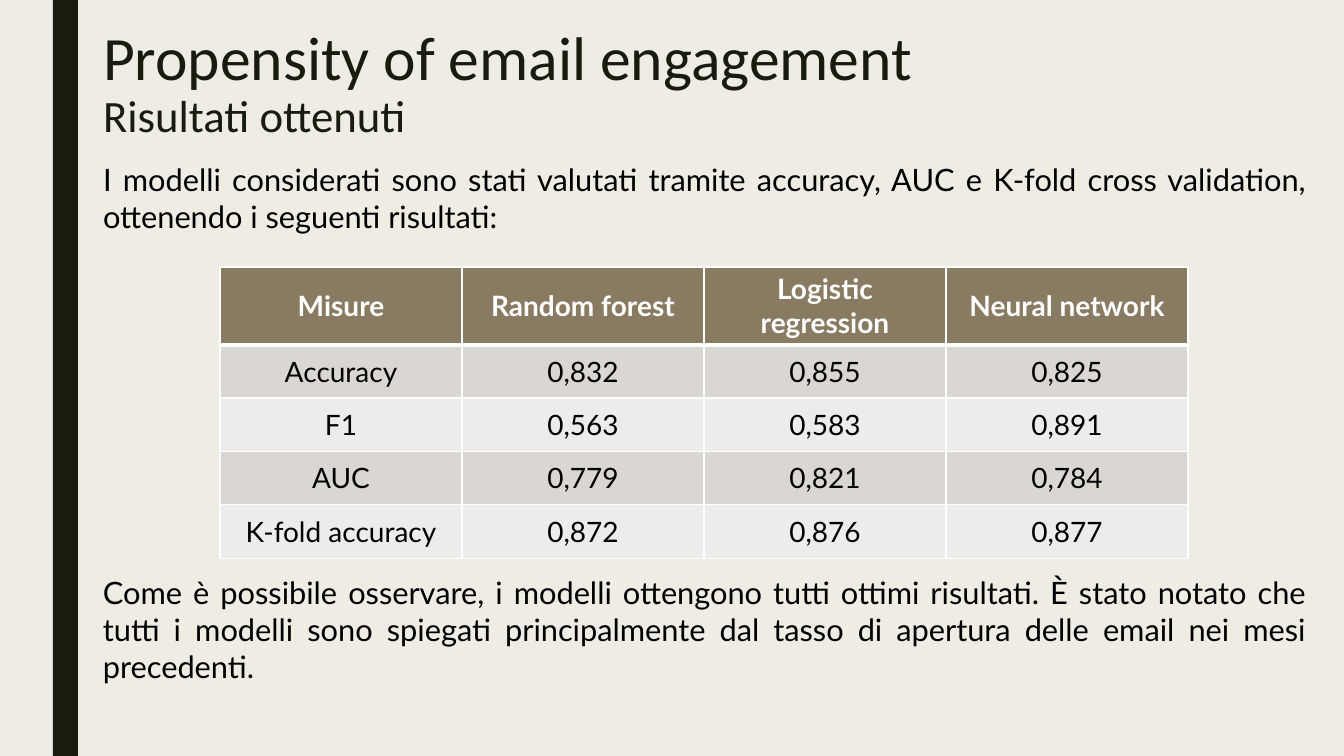
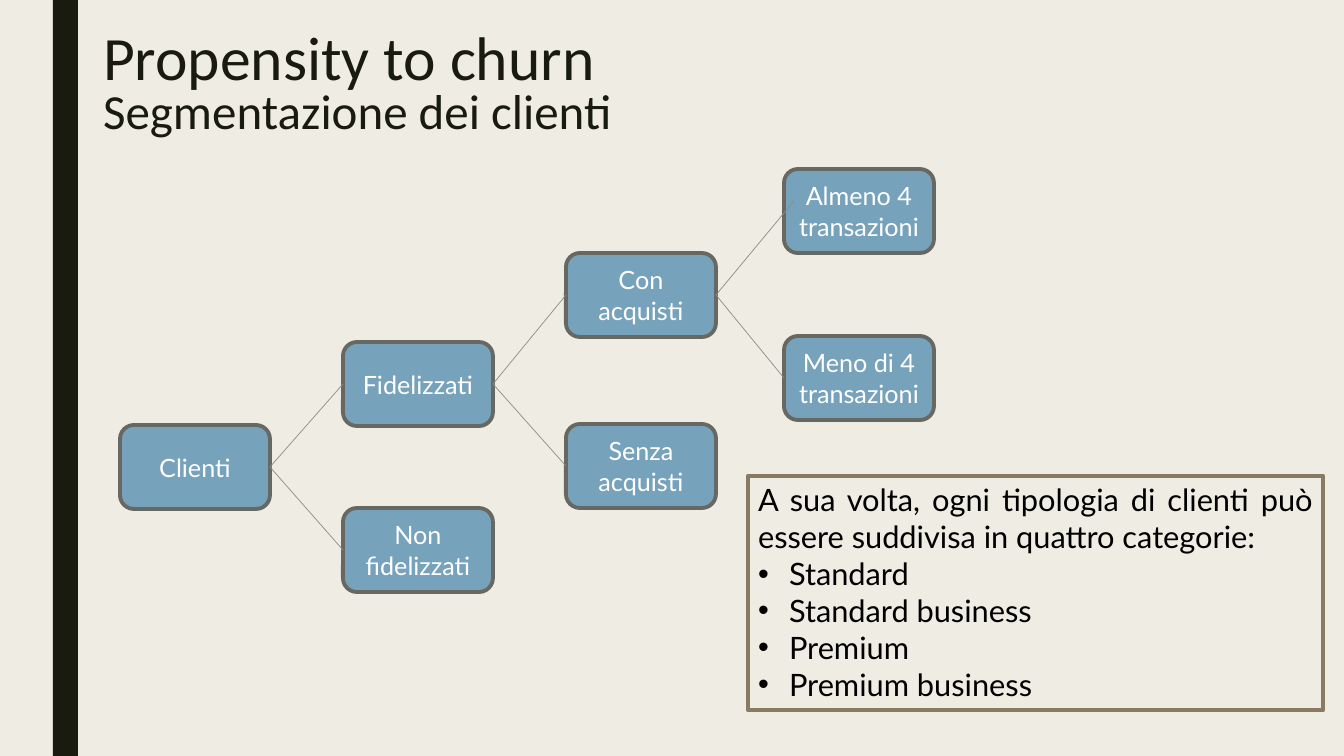
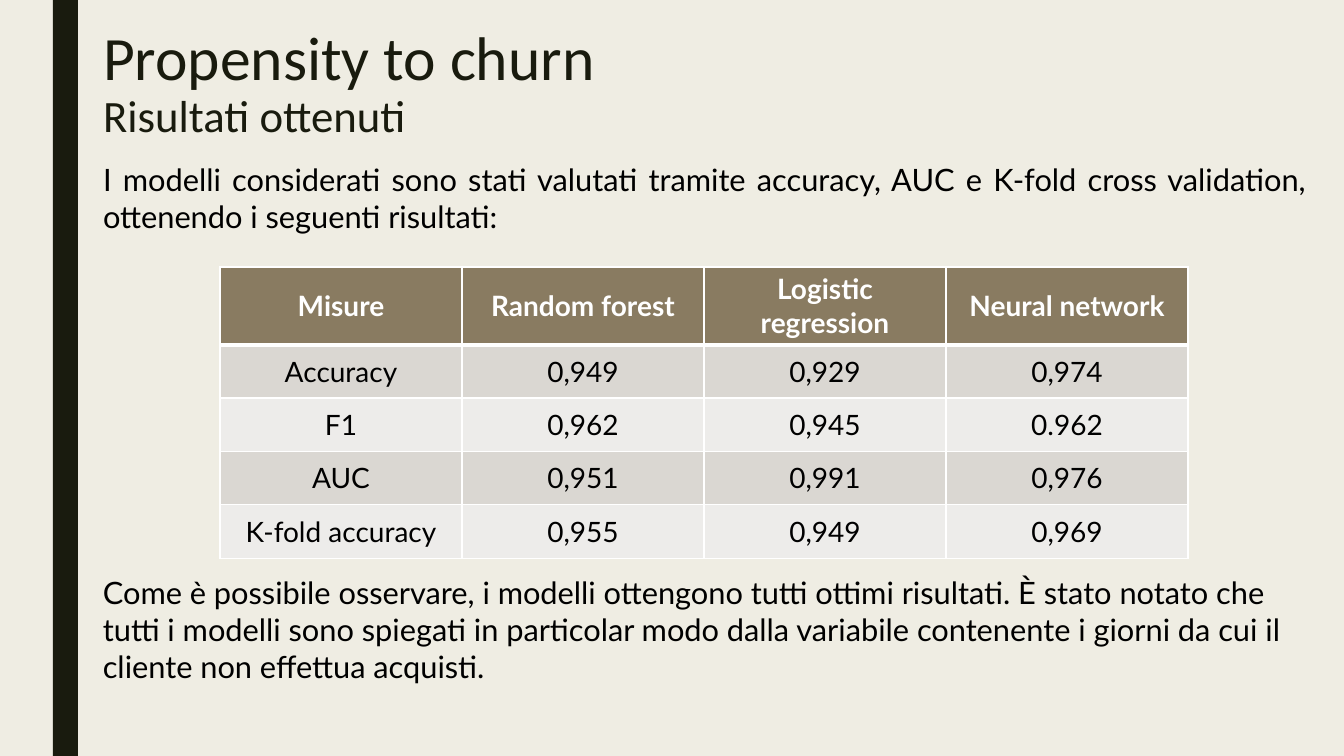
"""Builds three slides on email engagement and churn propensity models."""
from lxml.etree import SubElement
from pptx import Presentation
from pptx.dml.color import RGBColor
from pptx.enum.shapes import MSO_CONNECTOR, MSO_SHAPE
from pptx.enum.text import MSO_ANCHOR, MSO_AUTO_SIZE, PP_ALIGN
from pptx.oxml import parse_xml
from pptx.oxml.ns import nsdecls, qn
from pptx.util import Pt

PX = 914400 / 100.8
CREAM = RGBColor(0xEF, 0xED, 0xE3)
DARK = RGBColor(0x19, 0x1B, 0x0E)
BROWN = RGBColor(0x89, 0x7B, 0x61)
BAND_DARK = RGBColor(0xDA, 0xD7, 0xD2)
BAND_LIGHT = RGBColor(0xED, 0xEC, 0xEA)
BLUE = RGBColor(0x77, 0xA2, 0xBB)
GREY = RGBColor(0x68, 0x68, 0x63)
LINK_GREY = RGBColor(0x8C, 0x8D, 0x86)
WHITE = RGBColor(0xFF, 0xFF, 0xFF)
BLACK = RGBColor(0, 0, 0)
TITLE_FONT, BODY_FONT = "Calibri", "Lato"


def place(shape, *box):
    shape.left, shape.top, shape.width, shape.height = [round(v * PX) for v in box]


def write(paragraph, text, size, color, align, font=BODY_FONT, bold=False):
    paragraph.alignment = align
    paragraph.space_before = Pt(0)
    run = paragraph.add_run()
    run.text = text
    run.font.name = font
    run.font.size = Pt(size)
    run.font.color.rgb = color
    run.font.bold = bold


presentation = Presentation()
presentation.slide_width, presentation.slide_height = round(1344 * PX), round(756 * PX)
master = presentation.slide_master
master.background.fill.solid()
master.background.fill.fore_color.rgb = CREAM
layout = presentation.slide_layouts.get_by_name("Title and Content")

INTRO = ("I modelli considerati sono stati valutati tramite accuracy, AUC e K-fold cross "
         "validation, ottenendo i seguenti risultati:")
CLOSING = ("Come è possibile osservare, i modelli ottengono tutti ottimi risultati. "
           "È stato notato che tutti i modelli sono spiegati ")
HEADER = ("Misure", "Random forest", "Logistic regression", "Neural network")
RESULTS_TITLE = {"subtitle": "Risultati ottenuti", "size": 32, "spacing": 0.89,
                 "title_box": (93, 23, 1159, 137), "body_box": (93, 156, 1223, 85),
                 "intro": INTRO, "bullets": ()}
SLIDES = (
    {**RESULTS_TITLE, "title": "Propensity of email engagement",
     "rows": (HEADER,
              ("Accuracy", "0,832", "0,855", "0,825"),
              ("F1", "0,563", "0,583", "0,891"),
              ("AUC", "0,779", "0,821", "0,784"),
              ("K-fold accuracy", "0,872", "0,876", "0,877")),
     "closing": CLOSING + "principalmente dal tasso di apertura delle email nei mesi precedenti.",
     "closing_align": PP_ALIGN.JUSTIFY},
    {"title": "Propensity to churn", "subtitle": "Segmentazione dei clienti",
     "size": 35, "spacing": 0.79,
     "title_box": (93, 29, 1159, 122), "body_box": (748, 476, 575, 234),
     "intro": "A sua volta, ogni tipologia di clienti può essere suddivisa in quattro categorie:",
     "bullets": ("Standard", "Standard business", "Premium", "Premium business")},
    {**RESULTS_TITLE, "title": "Propensity to churn",
     "rows": (HEADER,
              ("Accuracy", "0,949", "0,929", "0,974"),
              ("F1", "0,962", "0,945", "0.962"),
              ("AUC", "0,951", "0,991", "0,976"),
              ("K-fold accuracy", "0,955", "0,949", "0,969")),
     "closing": CLOSING + ("in particolar modo dalla variabile contenente i giorni da cui il "
                           "cliente non effettua acquisti."),
     "closing_align": PP_ALIGN.LEFT},
)

NODE_WIDTH, NODE_HEIGHT = 150, 84
NODES = {
    "Clienti": (120, 425),
    "Non fidelizzati": (343, 508),
    "Fidelizzati": (343, 342),
    "Senza acquisti": (566, 424),
    "Con acquisti": (566, 253),
    "Almeno 4 transazioni": (784, 169),
    "Meno di 4 transazioni": (784, 336),
}
LINKS = (
    ("Clienti", "Fidelizzati", 0, 0),
    ("Clienti", "Non fidelizzati", 0, 0),
    ("Fidelizzati", "Con acquisti", 0, 0),
    ("Fidelizzati", "Senza acquisti", 0, 0),
    ("Con acquisti", "Almeno 4 transazioni", 10, -10),
    ("Con acquisti", "Meno di 4 transazioni", 0, 0),
)
LEFT_SITE, RIGHT_SITE = 1, 3

slides = [presentation.slides.add_slide(layout) for content in SLIDES]

side_band = slides[0].shapes.add_shape(MSO_SHAPE.RECTANGLE, 0, 0, 0, 0)
place(side_band, 53, 0, 25, 756)
side_band.shadow.inherit = False
side_band.fill.solid()
side_band.fill.fore_color.rgb = DARK
side_band.line.fill.background()
master.shapes.element.insert(2, side_band.element)

for slide, content in zip(slides, SLIDES):
    title, body = slide.placeholders
    place(title, *content["title_box"])
    frame = title.text_frame
    frame.auto_size = MSO_AUTO_SIZE.NONE
    frame.vertical_anchor = MSO_ANCHOR.TOP
    for paragraph, text, size in ((frame.paragraphs[0], content["title"], 44),
                                  (frame.add_paragraph(), content["subtitle"], content["size"])):
        paragraph.line_spacing = content["spacing"]
        write(paragraph, text, size, DARK, PP_ALIGN.LEFT, TITLE_FONT)

    place(body, *content["body_box"])
    frame = body.text_frame
    frame.auto_size = MSO_AUTO_SIZE.NONE
    intro = frame.paragraphs[0]
    write(intro, content["intro"], 22, BLACK, PP_ALIGN.JUSTIFY)
    properties = intro._p.get_or_add_pPr()
    properties.set("marL", "0")
    properties.set("indent", "0")
    SubElement(properties, qn("a:buNone"))
    for text in content["bullets"]:
        paragraph = frame.add_paragraph()
        write(paragraph, text, 22, BLACK, PP_ALIGN.JUSTIFY)
        properties = paragraph._p.get_or_add_pPr()
        properties.set("marL", str(round(31 * PX)))
        properties.set("indent", str(round(-31 * PX)))

    if "rows" not in content:
        body.line.color.rgb = BROWN
        body.line.width = Pt(3.25)
        continue

    rows = content["rows"]
    table_box = [round(v * PX) for v in (220, 267, 968, 267)]
    table = slide.shapes.add_table(len(rows), len(HEADER), *table_box).table
    for row, values in enumerate(rows):
        header = row == 0
        for column, text in enumerate(values):
            cell = table.cell(row, column)
            cell.vertical_anchor = MSO_ANCHOR.MIDDLE
            cell.fill.solid()
            cell.fill.fore_color.rgb = BROWN if header else BAND_DARK if row % 2 else BAND_LIGHT
            write(cell.text_frame.paragraphs[0], text, 20, WHITE if header else BLACK,
                  PP_ALIGN.CENTER, bold=header)
            widths = {"L": 1, "R": 1, "T": 3 if row == 1 else 1, "B": 3 if header else 1}
            for index, (side, width) in enumerate(widths.items()):
                cell._tc.get_or_add_tcPr().insert(index, parse_xml(
                    f'<a:ln{side} {nsdecls("a")} w="{Pt(width)}"><a:solidFill>'
                    f'<a:srgbClr val="{WHITE}"/></a:solidFill></a:ln{side}>'))

    closing = slide.shapes.add_textbox(0, 0, 0, 0)
    place(closing, 93, 569, 1223, 122)
    closing.text_frame.word_wrap = True
    write(closing.text_frame.paragraphs[0], content["closing"], 22, BLACK,
          content["closing_align"])

shapes = slides[1].shapes
nodes = {}
for text, (left, top) in NODES.items():
    node = nodes[text] = shapes.add_shape(MSO_SHAPE.ROUNDED_RECTANGLE, 0, 0, 0, 0)
    place(node, left, top, NODE_WIDTH, NODE_HEIGHT)
    node.shadow.inherit = False
    node.fill.solid()
    node.fill.fore_color.rgb = BLUE
    node.line.color.rgb = GREY
    node.line.width = Pt(2.75)
    node.text_frame.vertical_anchor = MSO_ANCHOR.MIDDLE
    write(node.text_frame.paragraphs[0], text, 18, WHITE, PP_ALIGN.CENTER)

for parent, child, shift_x, shift_y in LINKS:
    left, top = NODES[child]
    end_x, end_y = left + shift_x, top + NODE_HEIGHT // 2 + shift_y
    link = shapes.add_connector(MSO_CONNECTOR.STRAIGHT, 0, 0, round(end_x * PX), round(end_y * PX))
    link.begin_connect(nodes[parent], RIGHT_SITE)
    if not shift_x:
        link.end_connect(nodes[child], LEFT_SITE)
    link.line.color.rgb = LINK_GREY
    link.line.width = Pt(0.5)
    SubElement(link._element.spPr, qn("a:effectLst"))

presentation.save("out.pptx")
